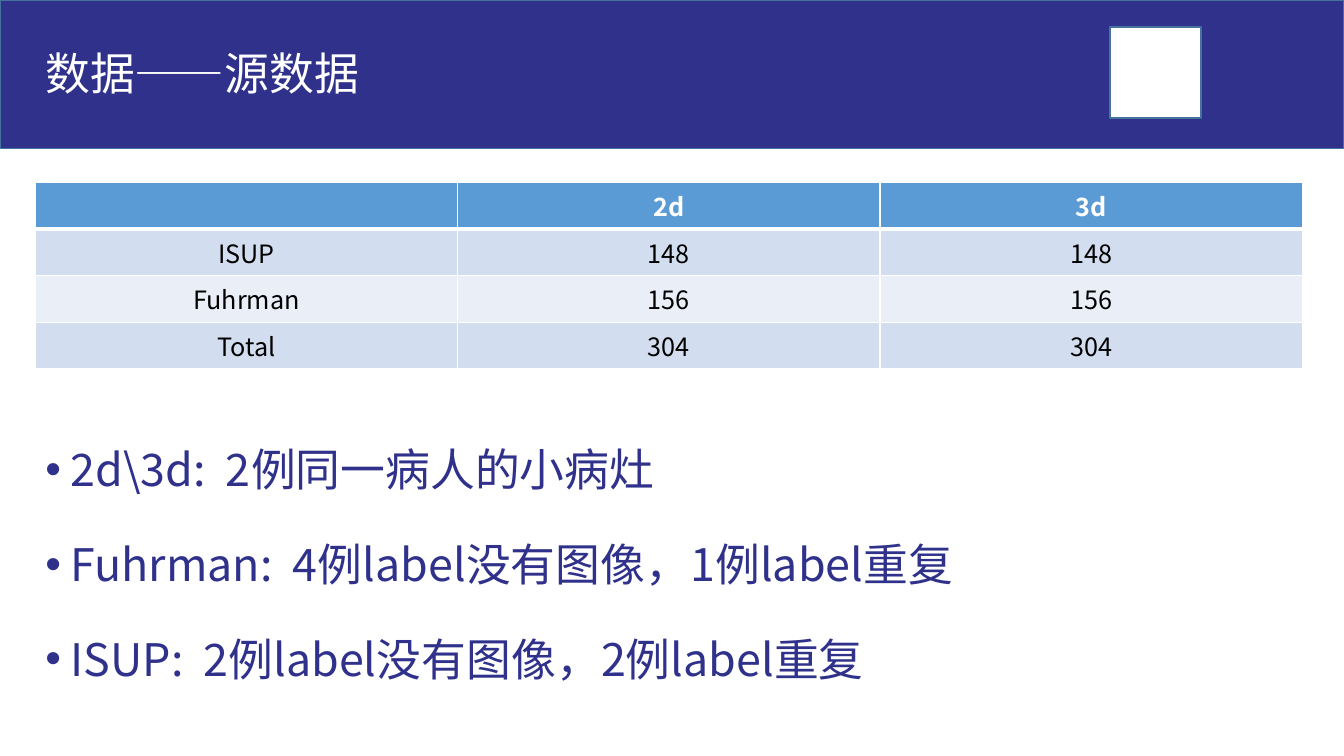
"""Build the source data slide with a title band, a count table and a list."""
from lxml.etree import SubElement
from pptx import Presentation
from pptx.dml.color import RGBColor
from pptx.enum.shapes import MSO_SHAPE
from pptx.enum.text import MSO_ANCHOR, MSO_AUTO_SIZE, PP_ALIGN
from pptx.oxml.ns import qn
from pptx.util import Pt

FONT = "Noto Sans CJK SC"
COLORS = {
    "navy": "2F318B", "outline": "43739E", "white": "FFFFFF", "black": "000000",
    "header": "5B9BD5", "odd": "D2DEEF", "even": "EAEFF7",
}
LEFT, WIDTH = Pt(25.2), Pt(905)


def color(name):
    return RGBColor.from_string(COLORS[name])


def style_text(para, size, name, bold=False):
    for span in para.runs:
        span.font.size = Pt(size)
        span.font.name = FONT
        span.font.bold = bold
        span.font.color.rgb = color(name)
        SubElement(span.font._element, qn("a:ea"), typeface=FONT)


deck = Presentation()
deck.slide_width, deck.slide_height = Pt(960), Pt(540)
page = deck.slides.add_slide(deck.slide_layouts[1])
title, body = page.placeholders

for left, top, width, height, fill in [
    (0, 0, 960, 106, "navy"),
    (793, 19.2, 65, 65, "white"),
]:
    box = page.shapes.add_shape(MSO_SHAPE.RECTANGLE, Pt(left), Pt(top), Pt(width), Pt(height))
    box.shadow.inherit = False
    box.fill.solid()
    box.fill.fore_color.rgb = color(fill)
    box.line.color.rgb = color("outline")
    box.line.width = Pt(1)
    title.element.addprevious(box.element)

title.left, title.top, title.width, title.height = LEFT, Pt(23.8), Pt(745), Pt(60.5)
title.text_frame.text = "数据——源数据"
title.text_frame.auto_size = MSO_AUTO_SIZE.NONE
title.text_frame.vertical_anchor = MSO_ANCHOR.MIDDLE
heading = title.text_frame.paragraphs[0]
heading.alignment = PP_ALIGN.LEFT
heading.line_spacing = 0.9
style_text(heading, 32, "white")

counts = [
    ("", "2d", "3d"),
    ("ISUP", "148", "148"),
    ("Fuhrman", "156", "156"),
    ("Total", "304", "304"),
]
row_fills = ["header", "odd", "even", "odd"]
table = page.shapes.add_table(4, 3, LEFT, Pt(130.3), WIDTH, Pt(116.8)).table
for row_index, (values, fill) in enumerate(zip(counts, row_fills)):
    is_header = row_index == 0
    for column_index, value in enumerate(values):
        cell = table.cell(row_index, column_index)
        cell.text_frame.text = value
        para = cell.text_frame.paragraphs[0]
        para.alignment = PP_ALIGN.CENTER
        para.font.size = Pt(18)
        style_text(para, 18, "white" if is_header else "black", is_header)
        borders = {"lnL": 1, "lnR": 1, "lnT": 3 if row_index == 1 else 1, "lnB": 3 if is_header else 1}
        properties = cell._tc.get_or_add_tcPr()
        for side, thickness in borders.items():
            border = SubElement(properties, qn(f"a:{side}"), w=str(Pt(thickness)))
            SubElement(SubElement(border, qn("a:solidFill")), qn("a:srgbClr"), val=COLORS["white"])
        cell.fill.solid()
        cell.fill.fore_color.rgb = color(fill)

body.left, body.top, body.width, body.height = LEFT, Pt(293), WIDTH, Pt(212.4)
body.text_frame.text = "\n".join([
    "2d\\3d:  2例同一病人的小病灶",
    "Fuhrman:  4例label没有图像，1例label重复",
    "ISUP:  2例label没有图像，2例label重复",
])
body.text_frame.auto_size = MSO_AUTO_SIZE.NONE
body.text_frame.vertical_anchor = MSO_ANCHOR.TOP
for para in body.text_frame.paragraphs:
    para.line_spacing = 1.5
    para.space_before = Pt(10)
    properties = para._p.get_or_add_pPr()
    properties.set("marL", str(Pt(18)))
    properties.set("indent", str(Pt(-18)))
    SubElement(properties, qn("a:buFont"), typeface="Arial")
    SubElement(properties, qn("a:buChar"), char="•")
    style_text(para, 32, "navy")

deck.save("out.pptx")
